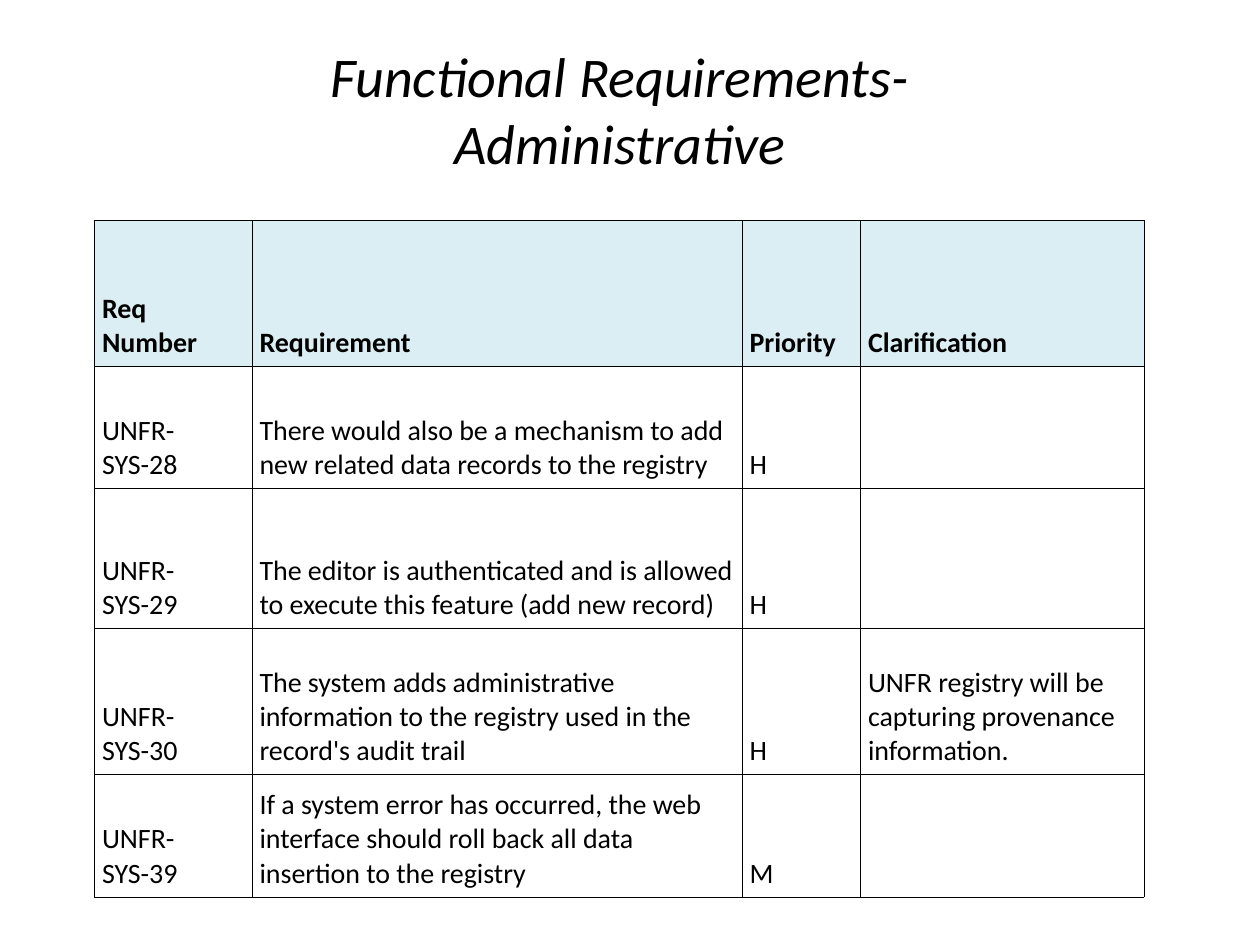
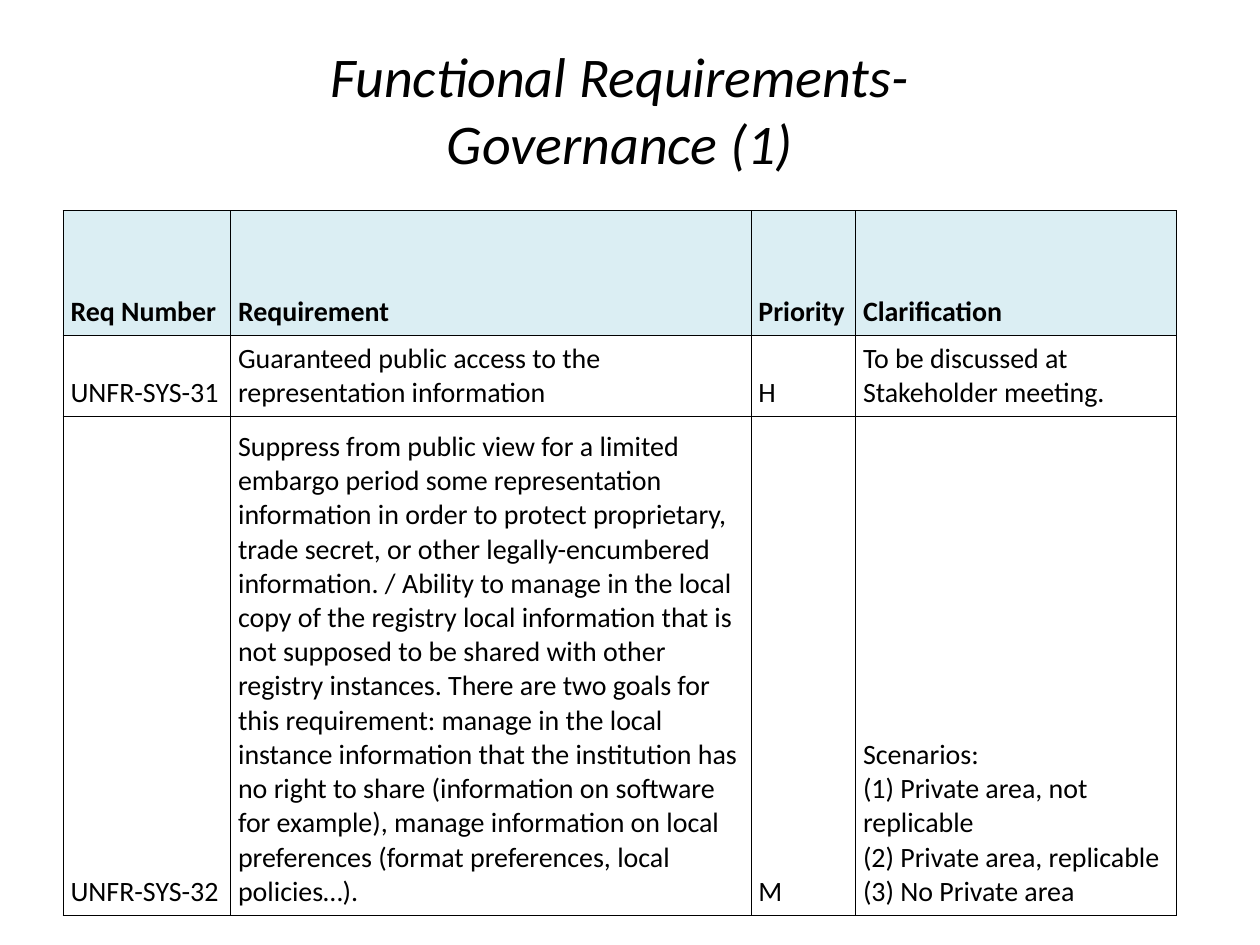
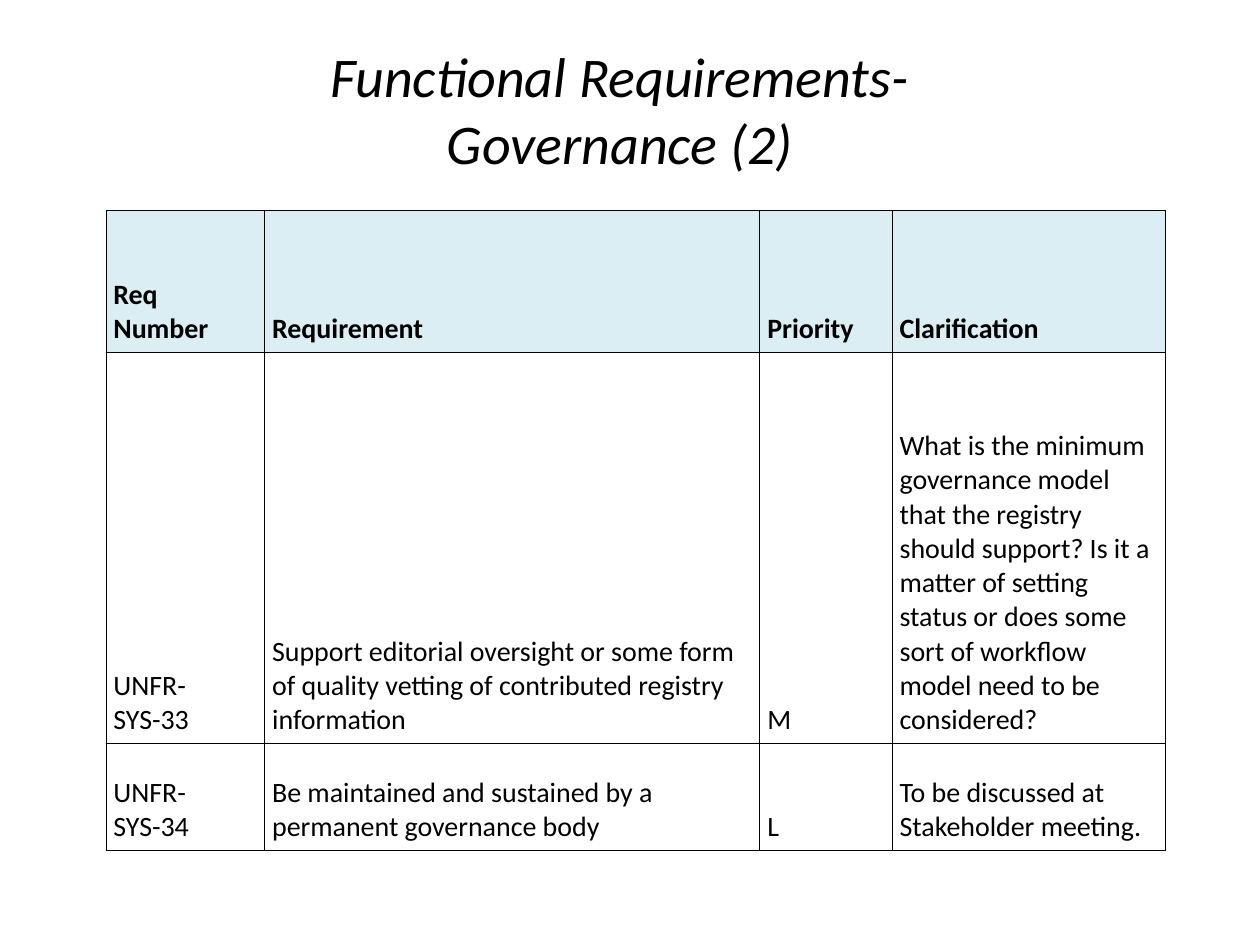
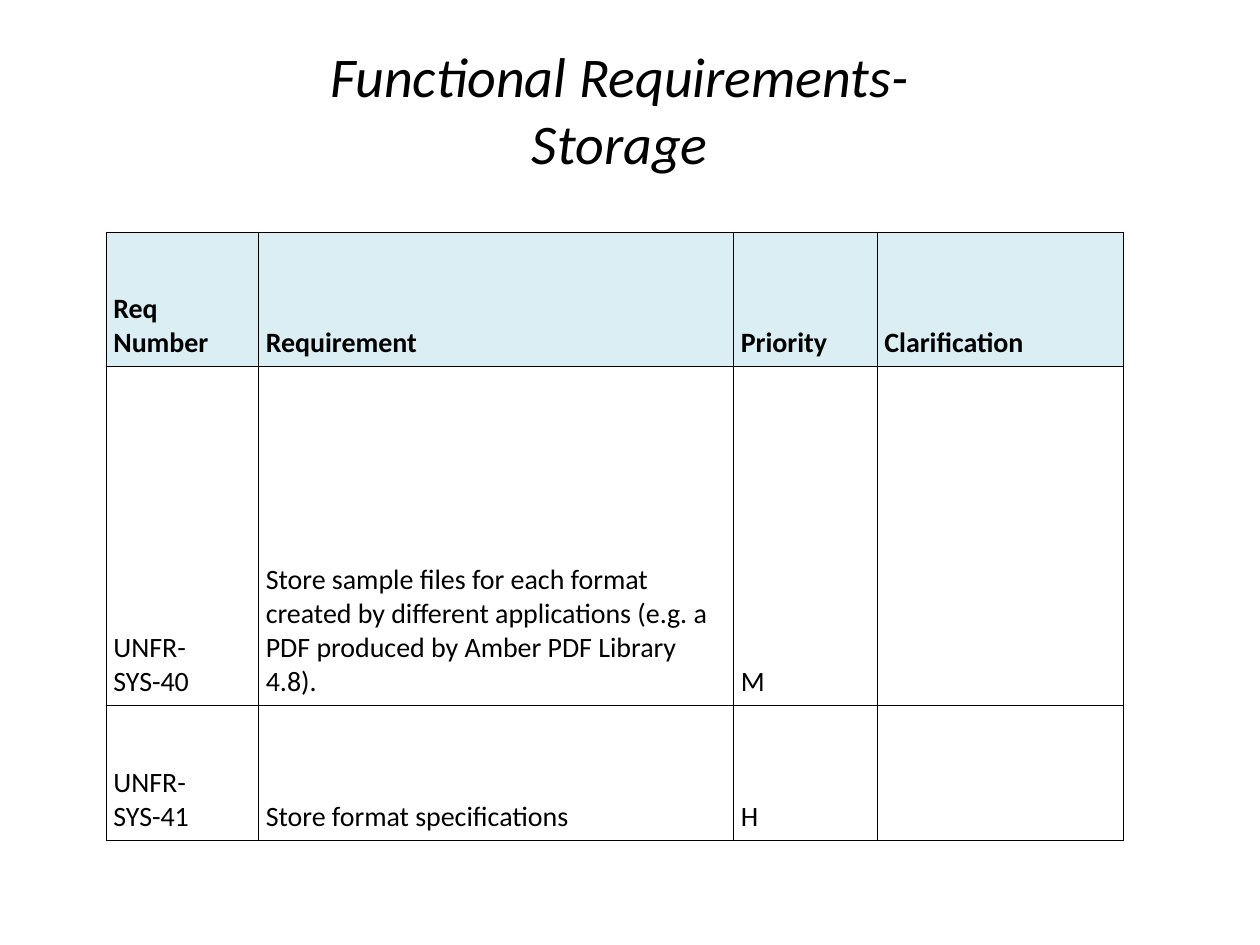
from lxml.etree import SubElement
from pptx import Presentation
from pptx.dml.color import RGBColor
from pptx.enum.text import MSO_ANCHOR, MSO_AUTO_SIZE, PP_ALIGN
from pptx.oxml.ns import qn
from pptx.util import Inches, Pt

FONT = "Calibri"
BLACK = "000000"
HEADER_FILL = "DBEEF3"
BORDER_WIDTH = Pt(0.45)
TITLE_START = "Functional Requirements-"
TITLE_BOX = (0.42, 0.75, 9, 0.75)
TITLE_LIFT = 0.53
SIDE_INSET, END_INSET = 0.06, 0.05
HEADINGS = ("Req Number", "Requirement", "Priority", "Clarification")

SECTIONS = [
    {
        "topic": "Administrative",
        "corner": (0.75, 1.75),
        "columns": (1.25, 3.89, 0.94, 2.25),
        "heights": (1.16, 0.97, 1.11, 1.16, 0.97),
        "spacing": (6, 2),
        "requirements": [
            ("UNFR-SYS-28", "There would also be a mechanism to add new related data "
             "records to the registry", "H", ""),
            ("UNFR-SYS-29", "The editor is authenticated and is allowed to execute this "
             "feature (add new record)", "H", ""),
            ("UNFR-SYS-30", "The system adds administrative information to the registry "
             "used in the record's audit trail", "H",
             "UNFR registry will be capturing provenance information."),
            ("UNFR-SYS-39", "If a system error has occurred, the web interface should "
             "roll back all data insertion to the registry", "M", ""),
        ],
    },
    {
        "topic": "Governance (1)",
        "corner": (0.5, 1.67),
        "columns": (1.33, 4.13, 0.83, 2.55),
        "heights": (0.99, 0.53, 3.96),
        "requirements": [
            ("UNFR-SYS-31", "Guaranteed public access to the representation information",
             "H", "To be discussed at Stakeholder meeting."),
            ("UNFR-SYS-32", "Suppress from public view for a limited embargo period some "
             "representation information in order to protect proprietary, trade secret, "
             "or other legally-encumbered information. / Ability to manage in the local "
             "copy of the registry local information that is not supposed to be shared "
             "with other registry instances. There are two goals for this requirement: "
             "manage in the local instance information that the institution has no right "
             "to share (information on software for example), manage information on local "
             "preferences (format preferences, local policies…).", "M",
             "Scenarios:\v(1) Private area, not replicable\v"
             "(2) Private area, replicable\v(3) No Private area"),
        ],
    },
    {
        "topic": "Governance (2)",
        "corner": (0.84, 1.67),
        "columns": (1.26, 3.93, 1.05, 2.17),
        "heights": (1.13, 3.1, 0.85),
        "requirements": [
            ("UNFR-SYS-33", "Support editorial oversight or some form of quality vetting "
             "of contributed registry information", "M",
             "What is the minimum governance model that the registry should support? Is "
             "it a matter of setting status or does some sort of workflow model need to "
             "be considered?"),
            ("UNFR-SYS-34", "Be maintained and sustained by a permanent governance body",
             "L", "To be discussed at Stakeholder meeting."),
        ],
    },
    {
        "topic": "Storage",
        "corner": (0.84, 1.84),
        "columns": (1.21, 3.77, 1.14, 1.96),
        "heights": (1.07, 2.69, 1.07),
        "requirements": [
            ("UNFR-SYS-40", "Store sample files for each format created by different "
             "applications (e.g. a PDF produced by Amber PDF Library 4.8).", "M", ""),
            ("UNFR-SYS-41", "Store format specifications", "H", ""),
        ],
    },
]


def color(value):
    return RGBColor.from_string(value)


def style_runs(paragraph, size, bold=False, italic=False):
    for run in paragraph.runs:
        run.font.name = FONT
        run.font.size = Pt(size)
        run.font.bold = bold
        run.font.italic = italic
        run.font.color.rgb = color(BLACK)


def add_title(slide, topic):
    title = slide.shapes.title
    title.left, title.top, title.width, title.height = map(Inches, TITLE_BOX)
    frame = title.text_frame
    frame.text = f"{TITLE_START}\v{topic}"
    frame.word_wrap = True
    frame.auto_size = MSO_AUTO_SIZE.NONE
    frame.vertical_anchor = MSO_ANCHOR.MIDDLE
    frame.margin_top, frame.margin_bottom = 0, Inches(TITLE_LIFT)
    frame.paragraphs[0].alignment = PP_ALIGN.CENTER
    style_runs(frame.paragraphs[0], 32, italic=True)


def add_borders(cell):
    properties = cell._tc.get_or_add_tcPr()
    for side in ("a:lnL", "a:lnR", "a:lnT", "a:lnB"):
        line = SubElement(properties, qn(side), w=str(BORDER_WIDTH))
        fill = SubElement(line, qn("a:solidFill"))
        SubElement(fill, qn("a:srgbClr"), val=BLACK)


def fill_cell(cell, text, is_heading, spacing):
    cell.text = text
    cell.vertical_anchor = MSO_ANCHOR.BOTTOM
    cell.margin_left = cell.margin_right = Inches(SIDE_INSET)
    cell.margin_top = cell.margin_bottom = Inches(END_INSET)
    paragraph = cell.text_frame.paragraphs[0]
    paragraph.space_before, paragraph.space_after = map(Pt, spacing)
    style_runs(paragraph, 16, bold=is_heading)
    add_borders(cell)
    if is_heading:
        cell.fill.solid()
        cell.fill.fore_color.rgb = color(HEADER_FILL)
    else:
        cell.fill.background()


def add_requirements(slide, section):
    columns, heights = section["columns"], section["heights"]
    box = (*section["corner"], sum(columns), sum(heights))
    table = slide.shapes.add_table(len(heights), len(columns), *map(Inches, box)).table
    table.first_row = table.horz_banding = False
    for column, width in zip(table.columns, columns):
        column.width = Inches(width)
    for row, height in zip(table.rows, heights):
        row.height = Inches(height)
    for r, texts in enumerate([HEADINGS, *section["requirements"]]):
        for c, text in enumerate(texts):
            fill_cell(table.cell(r, c), text, r == 0, section.get("spacing", (0, 0)))


def main():
    deck = Presentation()
    deck.slide_width, deck.slide_height = Inches(10), Inches(7.5)
    for section in SECTIONS:
        slide = deck.slides.add_slide(deck.slide_layouts[5])
        add_title(slide, section["topic"])
        add_requirements(slide, section)
    deck.save("out.pptx")


if __name__ == "__main__":
    main()
